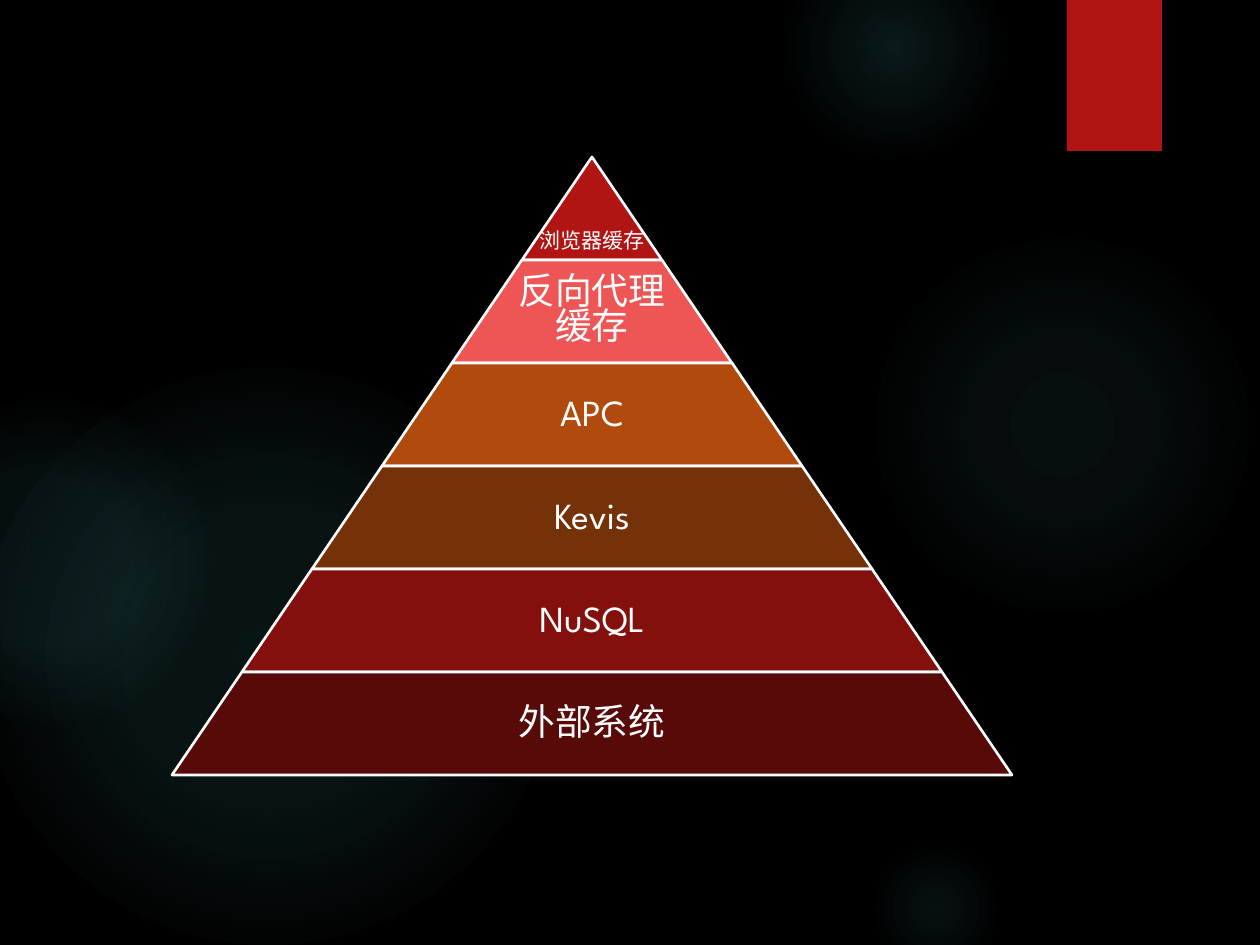
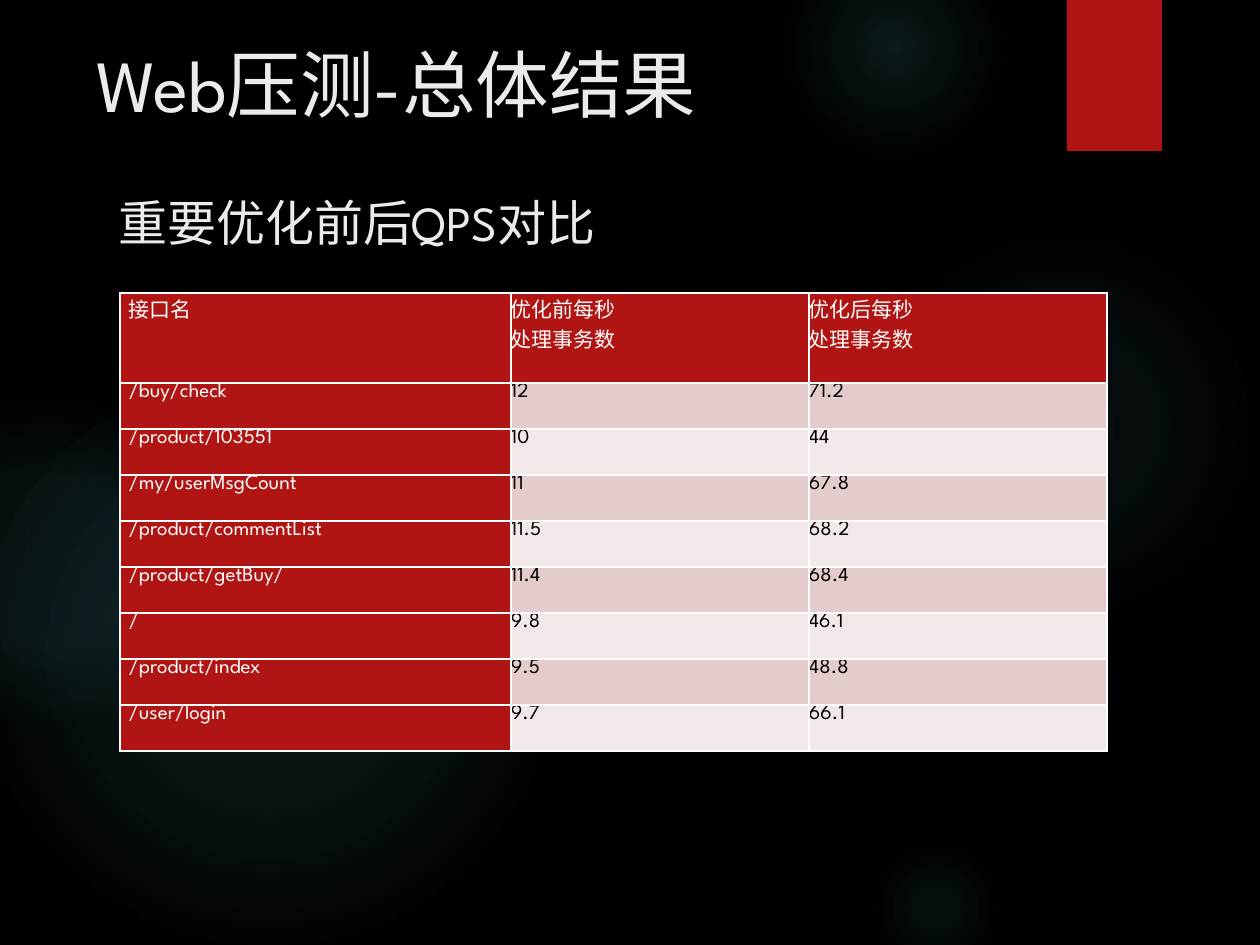
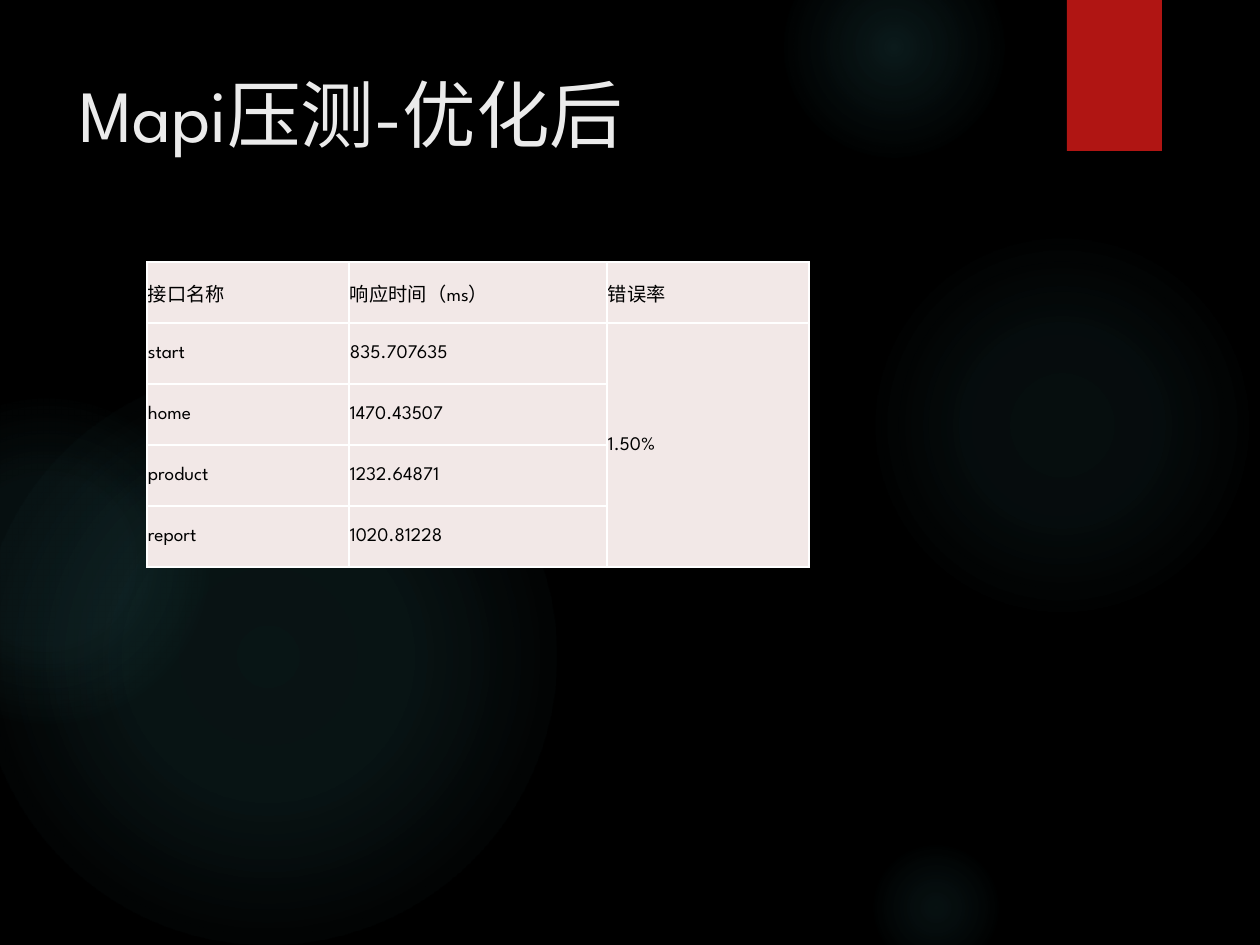
from dataclasses import dataclass

import pptx
import pptx.dml.color
import pptx.enum.shapes
import pptx.enum.text
import pptx.oxml
import pptx.oxml.ns
import pptx.util

PX = 914400 / 126
FONT = "League Spartan"
RED, WHITE, BLACK, TITLE = "B01513", "FFFFFF", "000000", "EBEBEB"
GLOW, BAND_DARK, BAND_LIGHT = "50B9C1", "E4CCCC", "F2E8E7"
APEX_X, APEX_Y, TIER_H, TIER_HALF = 592, 157, 103, 70

MSO_SHAPE = pptx.enum.shapes.MSO_SHAPE
ANCHOR = pptx.enum.text.MSO_ANCHOR
ALIGN = pptx.enum.text.PP_ALIGN
NS = pptx.oxml.ns.nsdecls("a")


@dataclass(frozen=True)
class Glow:
    x: int
    y: int
    size: int
    stops: tuple[tuple[int, int], ...]


@dataclass(frozen=True)
class Tier:
    text: str
    fill: str
    size: int = 21
    spacing: float = 0.9


@dataclass(frozen=True)
class Grid:
    x: int
    y: int
    cols: tuple[int, ...]
    heights: tuple[int, ...]
    rows: tuple[tuple[str, ...], ...]


@dataclass(frozen=True)
class CellStyle:
    fill: str
    color: str
    size: int
    margins: tuple[int, int, int, int]
    anchor: ANCHOR = ANCHOR.TOP


GLOWS = (
    Glow(868, 231, 388, ((0, 7), (36, 6), (69, 0))),
    Glow(784, -63, 220, ((0, 14), (36, 7), (73, 0))),
    Glow(868, 840, 136, ((0, 9), (36, 5), (66, 0))),
    Glow(-21, 368, 577, ((0, 11), (36, 10), (75, 0))),
    Glow(-116, 399, 325, ((0, 8), (36, 8), (72, 0))),
)

TIERS = (
    Tier("浏览器缓存", RED, size=12),
    Tier("反向代理\n缓存", "ED5654", spacing=0.8),
    Tier("APC", "B04A0D"),
    Tier("Kevis", "753209"),
    Tier("NuSQL", "84100E"),
    Tier("外部系统", "580A09"),
)

QPS = Grid(120, 293, (391, 298, 298), (90,) + (46,) * 8, (
    ("接口名", "优化前每秒\n处理事务数", "优化后每秒\n处理事务数"),
    ("/buy/check", "12", "71.2"),
    ("/product/103551", "10", "44"),
    ("/my/userMsgCount", "11", "67.8"),
    ("/product/commentList", "11.5", "68.2"),
    ("/product/getBuy/", "11.4", "68.4"),
    ("/", "9.8", "46.1"),
    ("/product/index", "9.5", "48.8"),
    ("/user/login", "9.7", "66.1"),
))

RESPONSE = Grid(147, 262, (202, 258, 202), (61,) * 5, (
    ("接口名称", "响应时间（ms）", "错误率"),
    ("start", "835.707635", "1.50%"),
    ("home", "1470.43507"),
    ("product", "1232.64871"),
    ("report", "1020.81228"),
))


def px(n: float) -> int:
    return round(n * PX)


def rgb(value: str) -> pptx.dml.color.RGBColor:
    return pptx.dml.color.RGBColor.from_string(value)


def write_text(tf, text: str, *, size: int, color: str,
               align: ALIGN = ALIGN.LEFT, spacing: float = 1.0) -> None:
    for i, line in enumerate(text.split("\n")):
        p = tf.add_paragraph() if i else tf.paragraphs[0]
        p.alignment = align
        p.line_spacing = spacing
        r = p.add_run()
        r.text = line
        r.font.name = FONT
        r.font.size = pptx.util.Pt(size)
        r.font.color.rgb = rgb(color)


def set_margins(target, margins: tuple[int, int, int, int]) -> None:
    (target.margin_left, target.margin_top,
     target.margin_right, target.margin_bottom) = map(px, margins)


def add_shape(s, kind: MSO_SHAPE, x: int, y: int, w: int, h: int, fill: str):
    sp = s.shapes.add_shape(kind, px(x), px(y), px(w), px(h))
    sp.shadow.inherit = False
    sp.fill.solid()
    sp.fill.fore_color.rgb = rgb(fill)
    sp.line.fill.background()
    return sp


def add_glow(s, glow: Glow) -> None:
    sp = add_shape(s, MSO_SHAPE.OVAL, glow.x, glow.y, glow.size, glow.size, GLOW)
    stops = "".join(
        f'<a:gs pos="{pos * 1000}"><a:srgbClr val="{GLOW}">'
        f'<a:alpha val="{alpha * 1000}"/></a:srgbClr></a:gs>'
        for pos, alpha in glow.stops)
    grad = pptx.oxml.parse_xml(
        f'<a:gradFill {NS}><a:gsLst>{stops}</a:gsLst><a:path path="circle">'
        '<a:fillToRect l="50000" t="50000" r="50000" b="50000"/>'
        '</a:path></a:gradFill>')
    spPr = sp.element.spPr
    spPr.replace(spPr.find(pptx.oxml.ns.qn("a:solidFill")), grad)


def new_slide(prs):
    s = prs.slides.add_slide(prs.slide_layouts[6])
    for glow in GLOWS:
        add_glow(s, glow)
    add_shape(s, MSO_SHAPE.RECTANGLE, 1067, 0, 95, 151, RED)
    return s


def add_title(s, text: str, x: int, y: int, w: int, h: int, size: int = 42) -> None:
    tf = s.shapes.add_textbox(px(x), px(y), px(w), px(h)).text_frame
    tf.word_wrap = True
    write_text(tf, text, size=size, color=TITLE)


def add_tier(s, rank: int, tier: Tier) -> None:
    half = TIER_HALF * rank
    sp = add_shape(s, MSO_SHAPE.TRAPEZOID, APEX_X - half,
                   APEX_Y + TIER_H * (rank - 1), 2 * half, TIER_H, tier.fill)
    sp.adjustments[0] = TIER_HALF / TIER_H
    sp.line.color.rgb = rgb(WHITE)
    sp.line.width = pptx.util.Pt(1.5)
    tf = sp.text_frame
    tf.word_wrap = False
    is_tip = rank == 1
    tf.vertical_anchor = ANCHOR.BOTTOM if is_tip else ANCHOR.MIDDLE
    set_margins(tf, (0, 0, 0, 7 if is_tip else TIER_H // (3 * rank)))
    write_text(tf, tier.text, size=tier.size, color=WHITE,
               align=ALIGN.CENTER, spacing=tier.spacing)


def style_cell(cell, style: CellStyle) -> None:
    tcPr = cell._tc.get_or_add_tcPr()
    for side in ("lnL", "lnR", "lnT", "lnB"):
        tcPr.append(pptx.oxml.parse_xml(
            f'<a:{side} {NS} w="12700"><a:solidFill>'
            f'<a:srgbClr val="{WHITE}"/></a:solidFill></a:{side}>'))
    cell.fill.solid()
    cell.fill.fore_color.rgb = rgb(style.fill)
    cell.vertical_anchor = style.anchor
    set_margins(cell, style.margins)


def add_grid(s, grid: Grid, style_at):
    table = s.shapes.add_table(
        len(grid.heights), len(grid.cols), px(grid.x), px(grid.y),
        px(sum(grid.cols)), px(sum(grid.heights))).table
    table.first_row = table.horz_banding = False
    for column, width in zip(table.columns, grid.cols):
        column.width = px(width)
    for i, height in enumerate(grid.heights):
        table.rows[i].height = px(height)
        for j in range(len(grid.cols)):
            style = style_at(i, j)
            cell = table.cell(i, j)
            style_cell(cell, style)
            if j < len(grid.rows[i]):
                write_text(cell.text_frame, grid.rows[i][j],
                           size=style.size, color=style.color)
    return table


def qps_style(i: int, j: int) -> CellStyle:
    margins = (0, 0, 0, 0) if j else (9, 0, 9, 0)
    if i == 0 or j == 0:
        return CellStyle(RED, WHITE, 12, margins)
    return CellStyle(BAND_DARK if i % 2 else BAND_LIGHT, BLACK, 12, margins)


def response_style(i: int, j: int) -> CellStyle:
    return CellStyle(BAND_LIGHT, BLACK, 11, (1, 1, 1, 0), ANCHOR.MIDDLE)


def main() -> None:
    prs = pptx.Presentation()
    prs.slide_width, prs.slide_height = px(1260), px(945)
    background = prs.slide_master.background.fill
    background.solid()
    background.fore_color.rgb = rgb(BLACK)

    s = new_slide(prs)
    for rank, tier in enumerate(TIERS, 1):
        add_tier(s, rank, tier)

    s = new_slide(prs)
    add_title(s, "重要优化前后QPS对比", 106, 186, 1112, 116, size=28)
    add_title(s, "Web压测-总体结果", 84, 33, 1134, 116)
    add_grid(s, QPS, qps_style)

    s = new_slide(prs)
    add_title(s, "Mapi压测-优化后", 67, 63, 973, 193)
    table = add_grid(s, RESPONSE, response_style)
    table.cell(1, 2).merge(table.cell(4, 2))

    prs.save("out.pptx")


if __name__ == "__main__":
    main()
